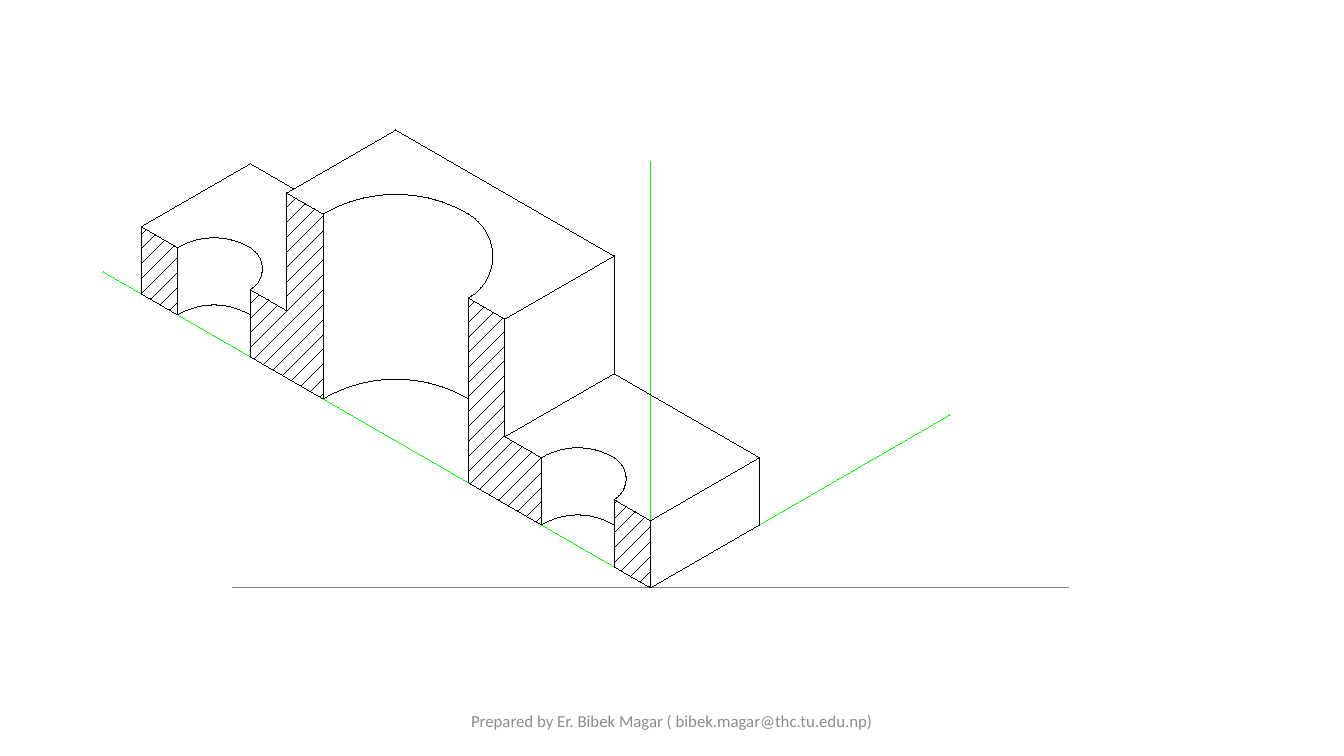
from itertools import count, takewhile
from math import cos, pi, sin, sqrt

from lxml.etree import SubElement
from pptx import Presentation
from pptx.dml.color import RGBColor
from pptx.enum.shapes import MSO_CONNECTOR
from pptx.enum.text import MSO_ANCHOR, PP_ALIGN
from pptx.oxml.ns import qn
from pptx.util import Pt

HUES = {"axis": "00FF00", "edge": "000000", "base": "808080", "note": "8C8C8C"}
UNIT = 30
LEFT, FLOOR = 464.6, 419.8
LOW, HIGH = 1.6, 4.4
PITCH = 10.6
LAST = 882.8

CUTS = [
    [(14, 0), (14, LOW), (13, LOW), (13, 0)],
    [(11, 0), (11, LOW), (10, LOW), (10, HIGH), (9, HIGH), (9, 0)],
    [(5, 0), (5, HIGH), (4, HIGH), (4, LOW), (3, LOW), (3, 0)],
    [(1, 0), (1, LOW), (0, LOW), (0, 0)],
]
EDGES = [
    [(0, 0, 0), (0, 3, 0), (0, 3, LOW), (0, 0, LOW)],
    [(4, 0, LOW), (4, 3, LOW), (0, 3, LOW)],
    [(4, 0, HIGH), (4, 3, HIGH), (4, 3, LOW)],
    [(4, 3, HIGH), (10, 3, HIGH), (10, 0, HIGH)],
    [(14, 0, LOW), (14, 3, LOW), (12.8, 3, LOW)],
]
AXES = [(0, 8.23, 0), (0, 0, 10.15), (15.05, 0, 0)]
HOLES = [(7, 2, HIGH), (2, 1, LOW), (12, 1, LOW)]


def iso(along, deep, high):
    x = LEFT + (deep - along) * UNIT * cos(pi / 6)
    y = FLOOR - (along + deep) * UNIT / 2 - high * UNIT
    return x, y


def style(shape, hue):
    shape.line.color.rgb = RGBColor.from_string(HUES[hue])
    shape._element.spPr.find(qn("a:ln")).set("w", "0")


def stroke(group, start, end, hue="edge"):
    ends = [Pt(value) for value in (*start, *end)]
    line = group.shapes.add_connector(MSO_CONNECTOR.STRAIGHT, *ends)
    style(line, hue)
    SubElement(line._element.spPr, qn("a:effectLst"))


def chain(group, points):
    for start, end in zip(points, points[1:]):
        stroke(group, start, end)


def arc(group, mid, radius, start, end, steps):
    turns = [start + (end - start) * step / steps for step in range(steps + 1)]
    points = [(Pt(mid[0] + radius * cos(turn)), Pt(mid[1] + radius * sin(turn)))
              for turn in turns]
    pen = group.shapes.build_freeform(*points[0], scale=1.0)
    pen.add_line_segments(points[1:], close=False)
    curve = pen.convert_to_shape()
    curve.fill.background()
    curve.shadow.inherit = False
    style(curve, "edge")


def back(group, mid, size, high):
    x, y = iso(mid + size, 0, high)
    wide = iso(mid, size, high)[0] - x
    hub = x + wide / 2, y + wide * sqrt(3) / 2
    arc(group, hub, wide, -pi / 3, -2 * pi / 3, 9 + 6 * size)


def side(group, mid, size, high):
    x, top = iso(mid, size, high)
    foot = iso(mid - size, 0, high)[1]
    radius = (foot - top) / sqrt(3)
    hub = x - radius / 2, (top + foot) / 2
    arc(group, hub, radius, pi / 3, -pi / 3, 9 + 8 * size)


def hatch(group, points):
    low = min(x + y for x, y in points)
    for total in takewhile(lambda value: value > low,
                           (LAST - PITCH * row for row in count())):
        hits = []
        for (x, y), (u, v) in zip(points, points[1:] + points[:1]):
            near, far = x + y - total, u + v - total
            if (near < 0) != (far < 0):
                part = near / (near - far)
                hits.append((x + part * (u - x), y + part * (v - y)))
        hits.sort()
        for start, end in zip(hits[::2], hits[1::2]):
            stroke(group, start, end)


def note(slide, text):
    box = slide.shapes.add_textbox(Pt(318), Pt(500.5), Pt(324), Pt(28.8))
    frame = box.text_frame
    frame.word_wrap = True
    frame.vertical_anchor = MSO_ANCHOR.MIDDLE
    para = frame.paragraphs[0]
    para.text = text
    para.alignment = PP_ALIGN.CENTER
    font = para.runs[0].font
    for name, value in {"name": "Calibri", "size": Pt(12)}.items():
        setattr(font, name, value)
    font.color.rgb = RGBColor.from_string(HUES["note"])


def main():
    deck = Presentation()
    deck.slide_width, deck.slide_height = Pt(960), Pt(540)
    slide = deck.slides.add_slide(deck.slide_layouts[6])
    note(slide, "Prepared by Er. Bibek Magar ( bibek.magar@thc.tu.edu.np)")
    group = slide.shapes.add_group_shape()
    stroke(group, (166.4, FLOOR), (763.4, FLOOR), "base")
    for axis in AXES:
        stroke(group, iso(0, 0, 0), iso(*axis), "axis")
    for cut in CUTS:
        points = [iso(along, 0, high) for along, high in cut]
        hatch(group, points)
        chain(group, points + points[:1])
    for edge in EDGES:
        chain(group, [iso(*point) for point in edge])
    for mid, size, high in HOLES:
        back(group, mid, size, high)
        side(group, mid, size, high)
        back(group, mid, size, 0)
    deck.save("out.pptx")


if __name__ == "__main__":
    main()
